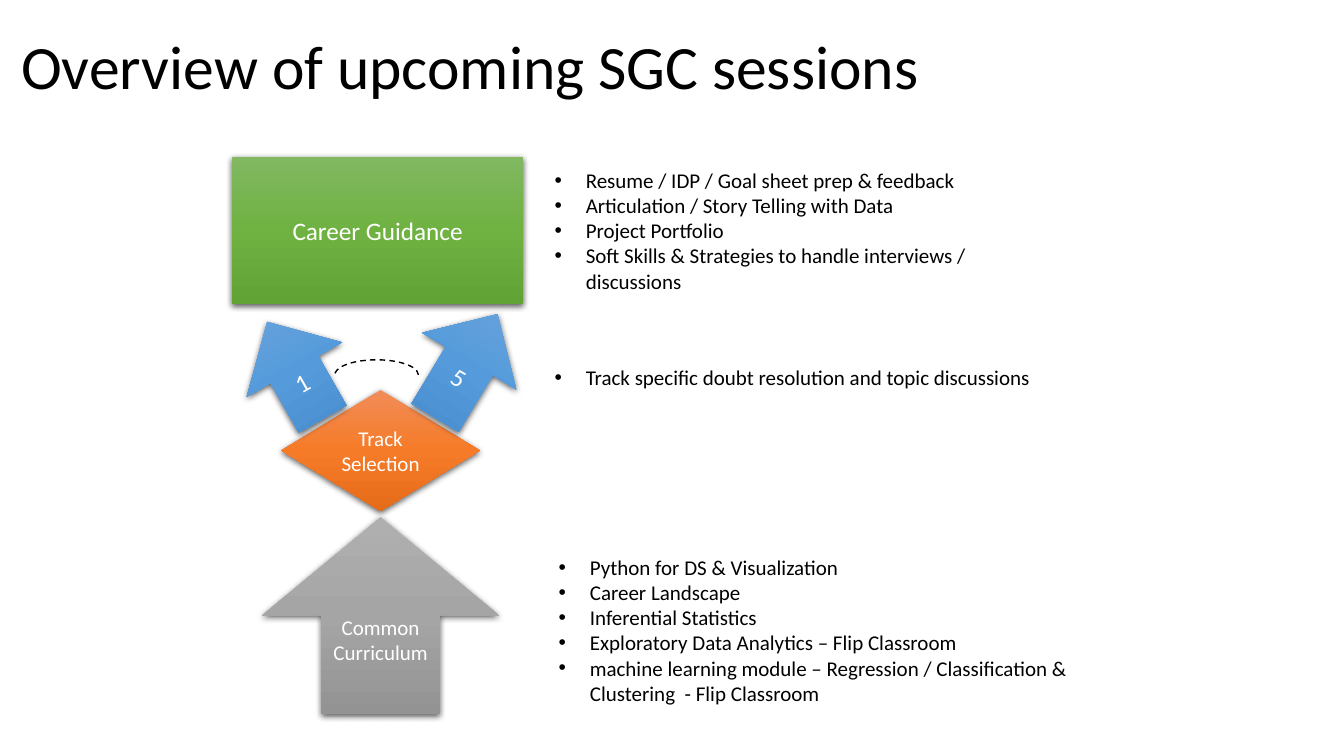
from copy import deepcopy

from lxml.etree import SubElement
from pptx import Presentation
from pptx.dml.color import RGBColor
from pptx.enum.dml import MSO_LINE
from pptx.enum.shapes import MSO_SHAPE as Preset
from pptx.enum.text import MSO_ANCHOR as Anchor, MSO_AUTO_SIZE as AutoSize, PP_ALIGN as Align
from pptx.oxml.ns import qn
from pptx.util import Inches, Pt

BLACK = RGBColor(0x00, 0x00, 0x00)
WHITE = RGBColor(0xFF, 0xFF, 0xFF)
GRAY = RGBColor(0xAF, 0xAF, 0xAF), RGBColor(0xA5, 0xA5, 0xA5), RGBColor(0x93, 0x93, 0x93)
ORANGE = RGBColor(0xF1, 0x8C, 0x57), RGBColor(0xF6, 0x7B, 0x28), RGBColor(0xE5, 0x6C, 0x19)
BLUE = RGBColor(0x71, 0xA6, 0xDB), RGBColor(0x55, 0x9B, 0xDB), RGBColor(0x44, 0x8A, 0xCA)
GREEN = RGBColor(0x81, 0xB8, 0x61), RGBColor(0x6F, 0xB2, 0x42), RGBColor(0x62, 0xA3, 0x36)


class SlideBuilder:
    """Hold the slide and its text style, and add each kind of element."""

    font_name = "Calibri"
    bullet_indent = Inches(0.31)

    def __init__(self, slide):
        self.slide = slide

    def style(self, paragraph, size, color, align):
        font = paragraph.font
        font.name, font.size, font.bold = self.font_name, Pt(size), False
        font.color.rgb = color
        paragraph.alignment = align

    def place(self, holder, box):
        holder.left, holder.top, holder.width, holder.height = map(Inches, box)

    def title(self, text, box):
        heading = self.slide.shapes.title
        self.place(heading, box)
        frame = heading.text_frame
        frame.text = text
        frame.auto_size = AutoSize.NONE
        frame.vertical_anchor = Anchor.MIDDLE
        self.style(frame.paragraphs[0], 44, BLACK, Align.LEFT)
        frame.paragraphs[0].line_spacing = 0.9

    def bullets(self, index, items, box):
        topics = self.slide.placeholders[index]
        self.place(topics, box)
        frame = topics.text_frame
        frame.text = "\n".join(items)
        frame.word_wrap = True
        frame.auto_size = AutoSize.SHAPE_TO_FIT_TEXT
        frame.vertical_anchor = Anchor.TOP
        for paragraph in frame.paragraphs:
            self.style(paragraph, 15, BLACK, Align.LEFT)
            paragraph.space_before = Pt(0)
            properties = paragraph._p.get_or_add_pPr()
            properties.set("marL", str(self.bullet_indent))
            properties.set("indent", str(-self.bullet_indent))
            SubElement(properties, qn("a:buFont"), typeface="Arial")
            SubElement(properties, qn("a:buChar"), char="•")

    def block(self, preset, text, box, colors, size, rotation=0):
        block = self.slide.shapes.add_shape(preset, *map(Inches, box))
        block.rotation = rotation
        block.line.fill.background()
        self.gradient(block, colors)
        self.shadow(block)
        frame = block.text_frame
        frame.text = text
        frame.word_wrap = True
        frame.vertical_anchor = Anchor.MIDDLE
        self.style(frame.paragraphs[0], size, WHITE, Align.CENTER)

    def gradient(self, block, colors):
        block.fill.gradient()
        block.fill.gradient_angle = 270
        stop_list = block._element.spPr.find(qn("a:gradFill")).find(qn("a:gsLst"))
        stop_list.insert(1, deepcopy(stop_list[0]))
        for stop, color, position in zip(block.fill.gradient_stops, colors, (0, 0.5, 1)):
            stop.color.rgb = color
            stop.position = position

    def shadow(self, block):
        block.shadow.inherit = False
        effects = block._element.spPr.find(qn("a:effectLst"))
        outer = SubElement(effects, qn("a:outerShdw"), blurRad=str(Pt(4.5)), dist=str(Pt(1.5)),
                           dir="5400000", algn="ctr", rotWithShape="0")
        tint = SubElement(outer, qn("a:srgbClr"), val=str(BLACK))
        SubElement(tint, qn("a:alpha"), val="63000")

    def dashed_arc(self, box):
        arc = self.slide.shapes.add_shape(Preset.ARC, *map(Inches, box))
        arc.adjustments[0], arc.adjustments[1] = 109.35, 0
        arc.shadow.inherit = False
        arc.fill.background()
        arc.line.color.rgb = BLACK
        arc.line.width = Pt(1)
        arc.line.dash_style = MSO_LINE.DASH

    def remove_empty_placeholders(self):
        for holder in list(self.slide.placeholders):
            if not holder.text_frame.text:
                holder._element.getparent().remove(holder._element)


def main():
    deck = Presentation()
    deck.slide_width, deck.slide_height = Inches(13.33), Inches(7.5)
    builder = SlideBuilder(deck.slides.add_slide(deck.slide_layouts[4]))

    builder.title("Overview of upcoming SGC sessions", (0.11, 0.09, 11.5, 1.2))
    builder.bullets(1, [
        "Resume / IDP / Goal sheet prep & feedback",
        "Articulation / Story Telling with Data",
        "Project Portfolio",
        "Soft Skills & Strategies to handle interviews / discussions",
    ], (5.4, 1.61, 5.14, 1.36))
    builder.bullets(2, ["Track specific doubt resolution and topic discussions"],
                    (5.4, 3.57, 5.14, 0.35))
    builder.bullets(4, [
        "Python for DS & Visualization",
        "Career Landscape",
        "Inferential Statistics",
        "Exploratory Data Analytics – Flip Classroom",
        "machine learning module – Regression / Classification & Clustering  - Flip Classroom",
    ], (5.44, 5.45, 5.56, 1.62))
    builder.remove_empty_placeholders()

    builder.block(Preset.UP_ARROW, "Common Curriculum", (2.6, 5.13, 2.35, 1.95), GRAY, 15)
    builder.block(Preset.DIAMOND, "Track Selection", (2.79, 3.87, 1.97, 1.2), ORANGE, 15)
    builder.block(Preset.UP_ARROW, "1", (2.38, 3.12, 1.09, 1.11), BLUE, 18, rotation=330.3)
    builder.block(Preset.UP_ARROW, "5", (4.08, 3.03, 1.09, 1.2), BLUE, 18, rotation=31.1)
    builder.dashed_arc((3.32, 3.57, 0.83, 0.3))
    builder.block(Preset.RECTANGLE, "Career Guidance", (2.3, 1.56, 2.89, 1.46), GREEN, 18)

    deck.save("out.pptx")


if __name__ == "__main__":
    main()
